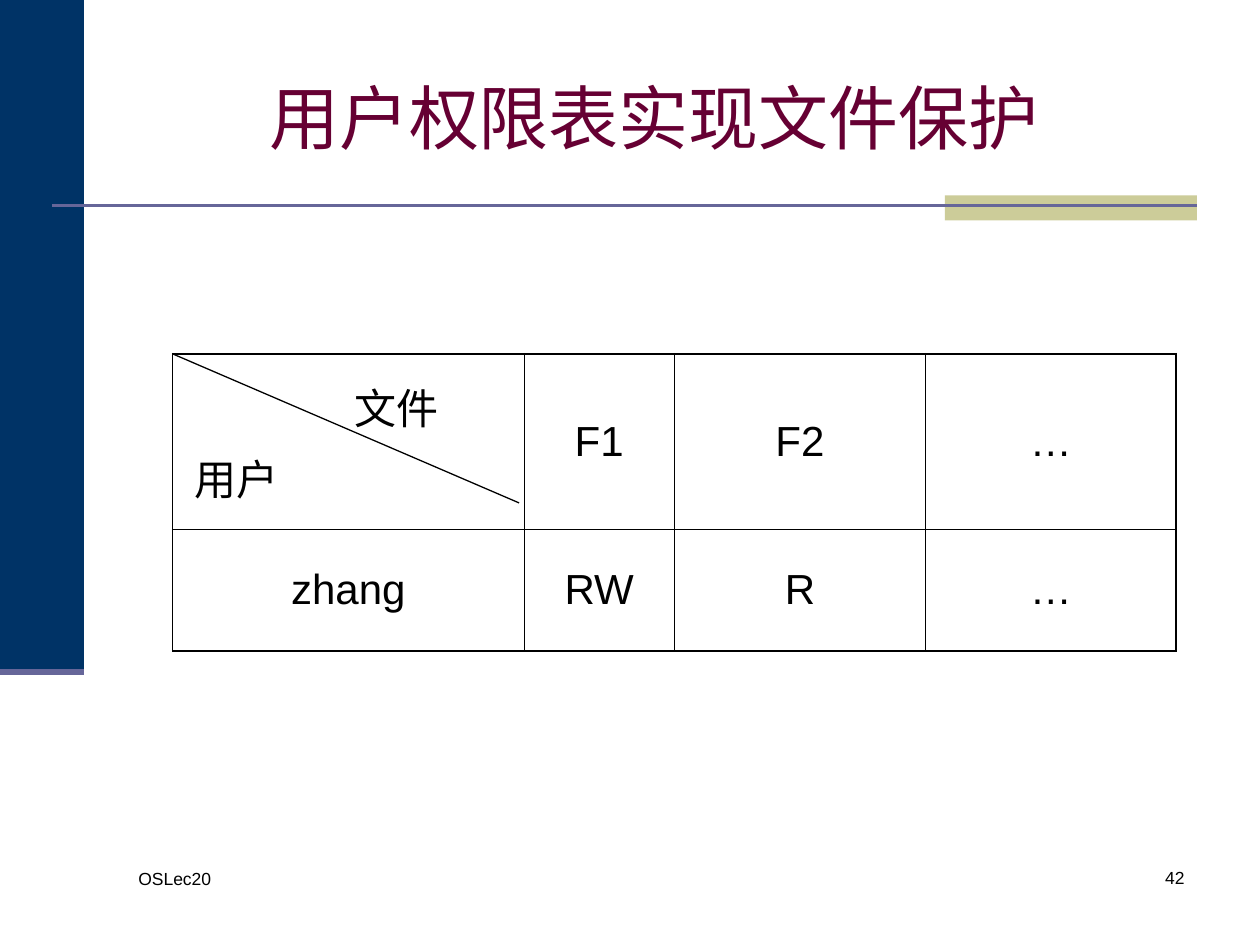
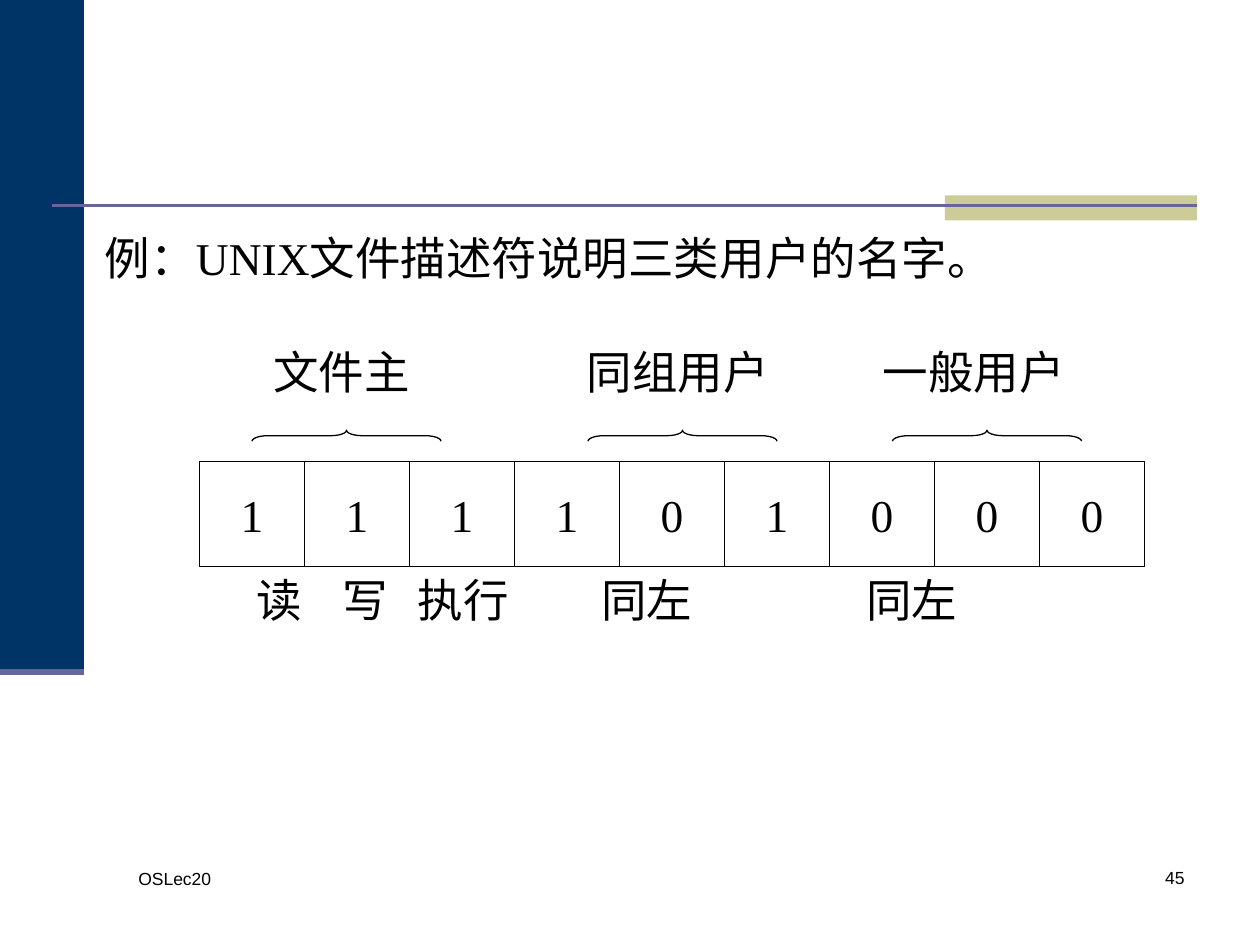
from lxml import etree
from pptx import Presentation, util as u
from pptx.dml.color import RGBColor
from pptx.enum import shapes, text
from pptx.oxml import ns

COLOURS = {"navy": "003366", "khaki": "CCCC99", "violet": "666699",
           "wine": "660033", "ink": "000000"}
COLUMNS, ROWS = 120, 90
WIDTH, HEIGHT = u.Inches(10), u.Inches(7.5)
CJK_FONT = "Noto Sans CJK SC"
CENTER, LEFT, RIGHT = text.PP_ALIGN.CENTER, text.PP_ALIGN.LEFT, text.PP_ALIGN.RIGHT
MIDDLE, TOP = text.MSO_ANCHOR.MIDDLE, text.MSO_ANCHOR.TOP


def x(columns):
    """Turn grid columns into a length."""
    return round(columns * WIDTH / COLUMNS)


def y(rows):
    """Turn grid rows into a length."""
    return round(rows * HEIGHT / ROWS)


def place(box):
    """Turn a grid box into lengths."""
    left, top, width, height = box
    return x(left), y(top), x(width), y(height)


def colour(name):
    """Look up a colour of the palette."""
    return RGBColor.from_string(COLOURS[name])


def style(paragraph, size, font, ink="ink", align=LEFT):
    """Format a paragraph and its runs, with a fixed East Asian font."""
    paragraph.alignment = align
    for run in paragraph.runs:
        run.font.size = u.Pt(size)
        run.font.name = font
        run.font.color.rgb = colour(ink)
        east_asian = etree.SubElement(run._r.rPr, ns.qn("a:ea"))
        east_asian.set("typeface", CJK_FONT)


def add_text(slide, box, words, size, font, ink="ink", align=LEFT, anchor=TOP):
    """Add a one-paragraph text box and return its frame."""
    frame = slide.shapes.add_textbox(*place(box)).text_frame
    frame.word_wrap = True
    frame.vertical_anchor = anchor
    frame.text = words
    style(frame.paragraphs[0], size, font, ink, align)
    return frame


def add_block(slide, kind, box, fill=None, line=None):
    """Add a flat preset shape."""
    block = slide.shapes.add_shape(kind, *place(box))
    block.shadow.inherit = False
    if fill:
        block.fill.solid()
        block.fill.fore_color.rgb = colour(fill)
    else:
        block.fill.background()
    if line:
        block.line.color.rgb = colour(line)
        block.line.width = u.Pt(0.75)
    else:
        block.line.fill.background()
    return block


def add_rule(slide, start, end, ink, weight):
    """Draw a straight line between two grid points."""
    rule = slide.shapes.add_connector(shapes.MSO_CONNECTOR.STRAIGHT,
                                      x(start[0]), y(start[1]), x(end[0]), y(end[1]))
    rule.line.color.rgb = colour(ink)
    rule.line.width = u.Pt(weight)
    etree.SubElement(rule._element.spPr, ns.qn("a:effectLst"))


def add_frame(slide, number):
    """Draw the side band, the heading rule and the footer."""
    band_width, band_height, rule_row = 8, 64, 19.6
    rectangle = shapes.MSO_SHAPE.RECTANGLE
    add_block(slide, rectangle, (0, 0, band_width, band_height), "navy")
    add_block(slide, rectangle, (90, 18.6, 24, 2.4), "khaki")
    add_rule(slide, (5, rule_row), (114, rule_row), "violet", 1.5)
    add_rule(slide, (0, band_height), (band_width, band_height), "violet", 3.5)
    add_text(slide, (12, 82.1, 26, 6), "OSLec20", 10, "Arial")
    add_text(slide, (89, 82, 25, 6), str(number), 10, "Arial", align=RIGHT)


def add_title(slide, words):
    """Write the slide title above the heading rule."""
    frame = add_text(slide, (12, 3.6, 102, 15), words, 40, CJK_FONT, "wine", CENTER, MIDDLE)
    frame.margin_right = u.Inches(0.22)


def set_borders(cell, weights):
    """Give a cell its left, right, top and bottom lines in points."""
    properties = cell._tc.get_or_add_tcPr()
    for side, weight in zip("LRTB", weights):
        border = etree.SubElement(properties, ns.qn(f"a:ln{side}"), w=str(u.Pt(weight)))
        fill = etree.SubElement(border, ns.qn("a:solidFill"))
        etree.SubElement(fill, ns.qn("a:srgbClr"), val=COLOURS["ink"])
    cell.fill.background()


def add_rights_table(slide, box, rights, column_shares, row_shares):
    """Place the table of rights with its split corner cell."""
    left, top, width, height = box
    row_count, column_count = len(rights), len(rights[0])
    table = slide.shapes.add_table(row_count, column_count, *place(box)).table
    table.first_row = table.horz_banding = False
    for column, share in zip(table.columns, column_shares):
        column.width = x(width * share)
    for row, share in zip(table.rows, row_shares):
        row.height = y(height * share)

    outer, inner = 1.08, 0.45
    for r, row in enumerate(rights):
        for c, words in enumerate(row):
            cell = table.cell(r, c)
            cell.vertical_anchor = MIDDLE
            cell.text_frame.text = words
            for paragraph in cell.text_frame.paragraphs:
                style(paragraph, 24, "Arial", align=CENTER)
            edges = (c == 0, c == column_count - 1, r == 0, r == row_count - 1)
            set_borders(cell, [outer if edge else inner for edge in edges])

    file_label, user_label = table.cell(0, 0).text_frame.paragraphs
    user_label.space_before = u.Pt(6)
    for label, indent in ((file_label, 1.34), (user_label, 0.07)):
        label.alignment = LEFT
        label._p.get_or_add_pPr().set("marL", str(u.Inches(indent)))
    add_rule(slide, (left, top), (left + 33, top + 14.2), "ink", 0.75)


def add_permission_bits(slide, box, bits, groups, meanings):
    """Place the bit row with braced user groups above and meanings below."""
    left, top, width, height = box
    font, size, label_height = "Times New Roman", 26, 6.4
    bit_width, bit_top = width / len(bits), top + 11.75
    for index, bit in enumerate(bits):
        square = add_block(slide, shapes.MSO_SHAPE.RECTANGLE,
                           (left + index * bit_width, bit_top, bit_width, 10), line="ink")
        square.text_frame.text = bit
        square.text_frame.word_wrap = False
        square.text_frame.vertical_anchor = MIDDLE
        style(square.text_frame.paragraphs[0], size, font, align=CENTER)

    stops = [offset for _, offset in meanings[1:]]
    frame = add_text(slide, (left + 4.2, top + height - label_height, 74, label_height),
                     "\t".join(word for word, _ in meanings), size, font)
    tabs = etree.SubElement(frame.paragraphs[0]._p.get_or_add_pPr(), ns.qn("a:tabLst"))
    for stop in stops:
        etree.SubElement(tabs, ns.qn("a:tab"), pos=str(x(stop)), algn="l")

    brace_span, brace_depth, brace_row = 18, 1.05, top + 9.3
    for group, label_left, label_width, brace_centre in groups:
        add_text(slide, (left + label_left, top, label_width, label_height), group, size, font)
        brace = add_block(slide, shapes.MSO_SHAPE.LEFT_BRACE,
                          (left + brace_centre - brace_depth / 2, brace_row - brace_span / 2,
                           brace_depth, brace_span), line="ink")
        brace.adjustments[0] = 1.43
        brace.rotation = 90


def build_rights_slide(slide):
    """Build the slide on the table of user rights."""
    add_frame(slide, 42)
    add_title(slide, "用户权限表实现文件保护")
    rights = [["文件\n用户", "F1", "F2", "…"], ["zhang", "RW", "R", "…"]]
    add_rights_table(slide, (16.44, 33.7, 95.6, 28.3), rights,
                     (0.35, 0.15, 0.25, 0.25), (0.59, 0.41))


def build_bits_slide(slide):
    """Build the slide on the permission bits of a file."""
    add_frame(slide, 45)
    add_text(slide, (8.8, 21.3, 92, 6.4), "例：UNIX文件描述符说明三类用户的名字。",
             26, "Times New Roman")
    groups = [("文件主", 5.85, 17, 14), ("同组用户", 35.7, 22, 46), ("一般用户", 63.9, 22, 75)]
    meanings = [("读", 0), ("写", 8.2), ("执行", 15.4), ("同左", 32.9), ("同左", 58.1)]
    add_permission_bits(slide, (19, 32.2, 90, 28.1), "111101000", groups, meanings)


def main():
    """Build and save the presentation."""
    deck = Presentation()
    deck.slide_width, deck.slide_height = WIDTH, HEIGHT
    for build in (build_rights_slide, build_bits_slide):
        build(deck.slides.add_slide(deck.slide_layouts[6]))
    deck.save("out.pptx")


if __name__ == "__main__":
    main()
